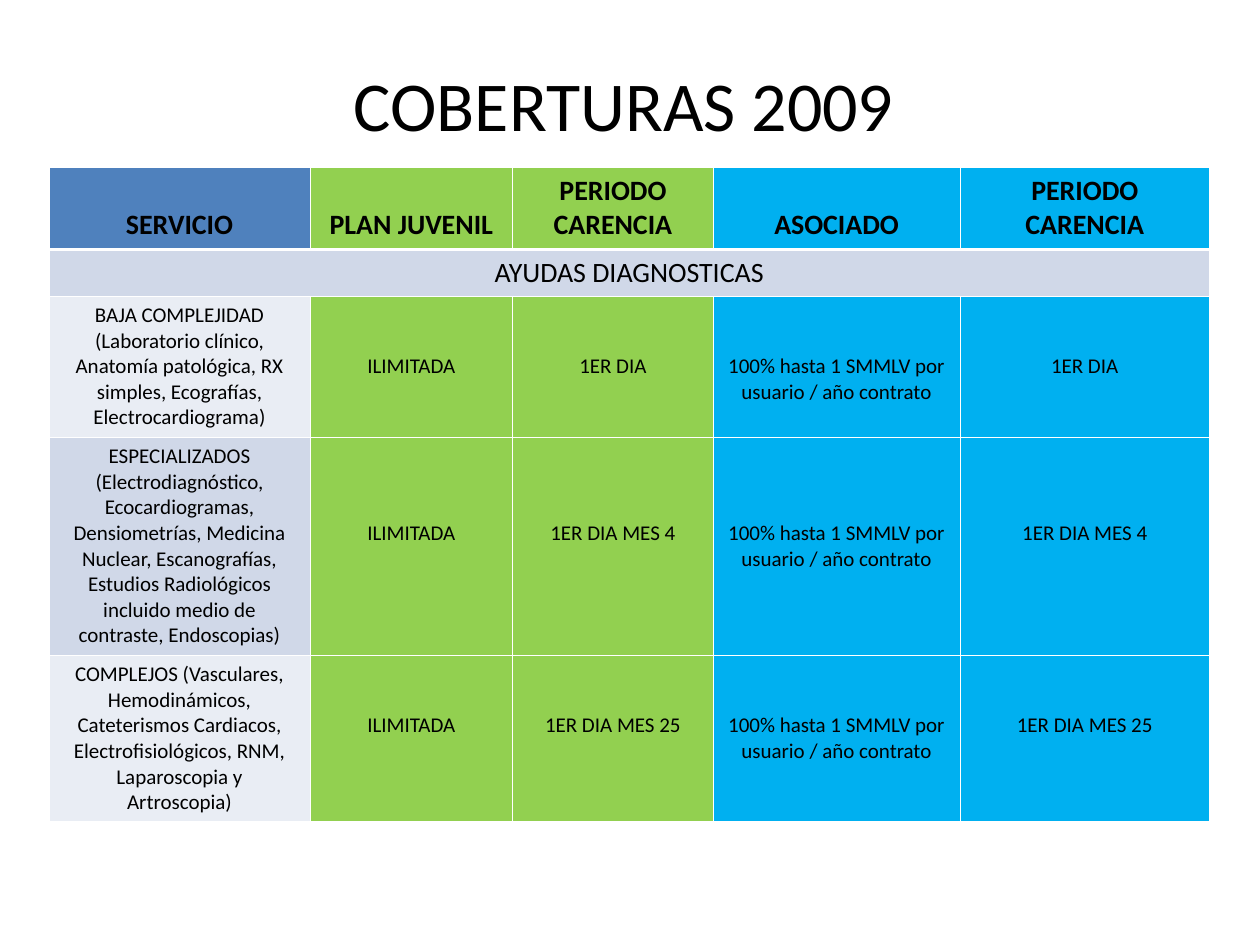
from dataclasses import dataclass

from lxml import etree
from pptx import Presentation
from pptx.dml.color import RGBColor
from pptx.enum.text import MSO_ANCHOR, PP_ALIGN
from pptx.oxml.ns import qn
from pptx.util import Inches, Pt

CENTER = PP_ALIGN.CENTER
TOP, MIDDLE = MSO_ANCHOR.TOP, MSO_ANCHOR.MIDDLE


@dataclass(frozen=True)
class Theme:
    font: str = "Calibri"
    text: str = "000000"
    border: str = "FFFFFF"
    header: str = "4F81BD"
    juvenil: str = "92D050"
    asociado: str = "00B0F0"
    band_dark: str = "D0D8E8"
    band_light: str = "E9EDF4"
    title_size: int = 40
    header_size: int = 16
    body_size: int = 12
    thin: float = 0.45
    thick: float = 1.47


THEME = Theme()
LINE_HEIGHT = 1.22  # line spacing of the font, in ems
PLAN_FILLS = [THEME.juvenil] * 2 + [THEME.asociado] * 2
COL_WIDTHS = [2.07, 1.61, 1.59, 1.96, 1.98]
ROW_HEIGHTS = [0.65, 0.37, 1.12, 1.73, 1.32]
HEADERS = ["SERVICIO", "PLAN JUVENIL", "PERIODO CARENCIA", "ASOCIADO", "PERIODO CARENCIA"]
SECTION = "AYUDAS DIAGNOSTICAS"
LIMIT = "100% hasta 1 SMMLV por usuario / año contrato"
# Service, waiting period, lines the plan values sit below the cell top
SERVICES = [
    ("BAJA COMPLEJIDAD (Laboratorio clínico, Anatomía patológica, RX simples, "
     "Ecografías, Electrocardiograma)", "1ER DIA", 2),
    ("ESPECIALIZADOS (Electrodiagnóstico, Ecocardiogramas, Densiometrías, "
     "Medicina Nuclear, Escanografías, Estudios Radiológicos incluido medio de "
     "contraste, Endoscopias)", "1ER DIA MES 4", 3),
    ("COMPLEJOS (Vasculares, Hemodinámicos, Cateterismos Cardiacos, "
     "Electrofisiológicos, RNM, Laparoscopia y Artroscopia)", "1ER DIA MES 25", 2),
]


def format_text(tf, size, bold=False):
    for p in tf.paragraphs:
        p.alignment = CENTER
        for r in p.runs:
            r.font.name = THEME.font
            r.font.size = Pt(size)
            r.font.bold = bold
            r.font.color.rgb = RGBColor.from_string(THEME.text)


def set_borders(cell, top, bottom):
    tc_pr = cell._tc.get_or_add_tcPr()
    sides = {"a:lnL": THEME.thin, "a:lnR": THEME.thin, "a:lnT": top, "a:lnB": bottom}
    for tag, width in sides.items():
        ln = etree.SubElement(tc_pr, qn(tag), w=str(Pt(width)))
        fill = etree.SubElement(ln, qn("a:solidFill"))
        etree.SubElement(fill, qn("a:srgbClr"), val=THEME.border)


def style_cell(cell, fill, top=THEME.thin, bottom=THEME.thin):
    set_borders(cell, top, bottom)
    cell.fill.solid()
    cell.fill.fore_color.rgb = RGBColor.from_string(fill)


def fill_cell(cell, text, size, bold=False, lines_down=0):
    cell.text_frame.text = text
    cell.vertical_anchor = TOP
    cell.margin_left = cell.margin_right = Inches(0.1)
    cell.margin_bottom = Inches(0.05)
    cell.margin_top = Inches(0.05) + Pt(lines_down * size * LINE_HEIGHT)
    format_text(cell.text_frame, size, bold)


def add_title(s, left, top, width, height):
    sp = s.shapes.title
    sp.left, sp.top, sp.width, sp.height = left, top, width, height
    tf = sp.text_frame
    tf.text = "COBERTURAS 2009"
    tf.vertical_anchor = MIDDLE
    format_text(tf, THEME.title_size)


def add_coverage_table(s, left, top):
    table = s.shapes.add_table(
        len(ROW_HEIGHTS), len(COL_WIDTHS), left, top,
        Inches(sum(COL_WIDTHS)), Inches(sum(ROW_HEIGHTS))).table
    for column, width in zip(table.columns, COL_WIDTHS):
        column.width = Inches(width)
    for row, height in zip(table.rows, ROW_HEIGHTS):
        row.height = Inches(height)

    # Header row: one-line labels sit on the second line
    for col, (label, fill) in enumerate(zip(HEADERS, [THEME.header] + PLAN_FILLS)):
        cell = table.cell(0, col)
        style_cell(cell, fill, bottom=THEME.thick)
        lines_down = 0 if label.startswith("PERIODO") else 1
        fill_cell(cell, label, THEME.header_size, True, lines_down)

    # Section row across all columns
    for col in range(len(COL_WIDTHS)):
        style_cell(table.cell(1, col), THEME.band_dark, top=THEME.thick)
    table.cell(1, 0).merge(table.cell(1, len(COL_WIDTHS) - 1))
    fill_cell(table.cell(1, 0), SECTION, THEME.header_size)

    # Service rows
    for row, (service, period, lines_down) in enumerate(SERVICES, start=2):
        band = THEME.band_dark if row % 2 else THEME.band_light
        values = [service, "ILIMITADA", period, LIMIT, period]
        for col, (value, fill) in enumerate(zip(values, [band] + PLAN_FILLS)):
            cell = table.cell(row, col)
            style_cell(cell, fill)
            fill_cell(cell, value, THEME.body_size, lines_down=lines_down if col else 0)


def main():
    prs = Presentation()
    prs.slide_width, prs.slide_height = Inches(10), Inches(7.5)
    s = prs.slides.add_slide(prs.slide_layouts[5])
    add_title(s, Inches(0.7), Inches(0.47), Inches(8.5), Inches(0.7))
    add_coverage_table(s, Inches(0.39), Inches(1.33))
    prs.save("out.pptx")


if __name__ == "__main__":
    main()
